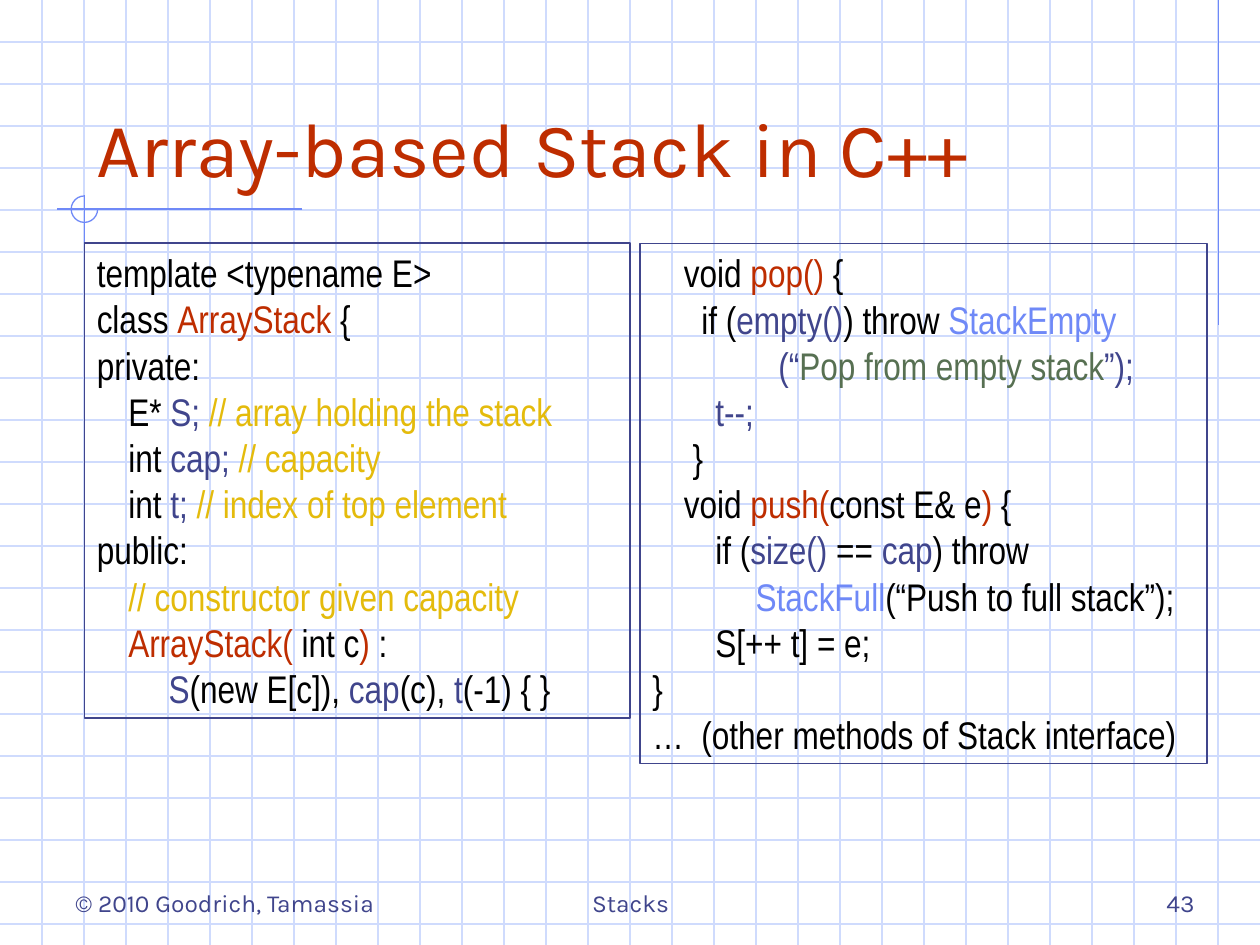
from lxml.etree import SubElement
from pptx import Presentation
from pptx.dml.color import RGBColor
from pptx.enum.shapes import MSO_CONNECTOR, MSO_SHAPE
from pptx.enum.text import MSO_ANCHOR, MSO_AUTO_SIZE, PP_ALIGN
from pptx.oxml.ns import qn
from pptx.util import Inches, Pt

GRID = RGBColor(0xCF, 0xDB, 0xFD)
BLUE = RGBColor(0x6F, 0x89, 0xF7)
NAVY = RGBColor(0x40, 0x45, 0x8C)
RED = RGBColor(0xBE, 0x2D, 0x00)
GOLD = RGBColor(0xE4, 0xBB, 0x0C)
GREEN = RGBColor(0x57, 0x70, 0x52)
BLACK = RGBColor(0x00, 0x00, 0x00)

WIDTH, HEIGHT = 10, 7.5
TEXT_FONT, CODE_FONT = "Karla", "Arial Narrow"
LINE_WIDTH = Pt(0.75)

# Each paragraph is a list of (text, colour) runs; "\n" is a line break
CLASS_CODE = [
    [("template <typename E> \nclass ", BLACK), ("ArrayStack", RED), (" {\nprivate:", BLACK)],
    [("\tE*", BLACK), (" S;", NAVY), (" // array holding the stack\n", GOLD),
     ("\tint", BLACK), (" cap;", NAVY), (" // capacity", GOLD)],
    [("\tint", BLACK), (" t;", NAVY), (" // index of top element", GOLD)],
    [("public:", BLACK)],
    [("\t// constructor given capacity\n", GOLD), ("\tArrayStack( ", RED),
     ("int c", BLACK), (") ", RED), (":\n\t\t ", BLACK), ("S", NAVY),
     ("(new E[c]), ", BLACK), ("cap", NAVY), ("(c), ", BLACK), ("t", NAVY),
     ("(-1) { }", BLACK)],
]
METHOD_CODE = [
    [("\tvoid ", BLACK), ("pop()", RED), (" {\n\t  if (", BLACK), ("empty()", NAVY),
     (") throw ", BLACK), ("StackEmpty\n", BLUE), ("\t\t\t\t(“", NAVY),
     ("Pop from empty stack", GREEN), ("”);\n\t\tt--;\n\t ", NAVY), ("}", BLACK)],
    [("\tvoid ", BLACK), ("push(", RED), ("const E& e", BLACK), (")", RED), (" {", BLACK)],
    [("\t\tif (", BLACK), ("size() ", NAVY), ("== ", BLACK), ("cap", NAVY),
     (") throw", BLACK)],
    [("\t\t\t StackFull", BLUE), ("(“Push to full stack”);", BLACK)],
    [("\t\tS[++ t] = e;", BLACK)],
    [("}", BLACK)],
    [("…  (other methods of Stack interface)", BLACK)],
]


def add_line(slide, x1, y1, x2, y2, color):
    line = slide.shapes.add_connector(
        MSO_CONNECTOR.STRAIGHT, Inches(x1), Inches(y1), Inches(x2), Inches(y2))
    line.line.color.rgb = color
    line.line.width = LINE_WIDTH
    SubElement(line._element.spPr, qn("a:effectLst"))


def add_grid(slide, left, top, width, height):
    """Graph paper with three lines to the inch."""
    for row in range(1, int(height * 3) + 1):
        y = top + row / 3
        if y < top + height:
            add_line(slide, left, y, left + width, y, GRID)
    for column in range(1, int(width * 3)):
        x = left + column / 3
        add_line(slide, x, top, x, top + height, GRID)


def add_accents(slide, center_x, center_y, right):
    """Blue rules, with an open circle where two of them cross."""
    add_line(slide, right, 0, right, 2.58, BLUE)
    add_line(slide, center_x + 1.73, center_y, center_x - 0.22, center_y, BLUE)
    add_line(slide, center_x, center_y - 0.11, center_x, center_y + 2.43, BLUE)
    size = 0.21
    arc = slide.shapes.add_shape(
        MSO_SHAPE.ARC, Inches(center_x - size / 2), Inches(center_y - size / 2),
        Inches(size), Inches(size))
    arc.adjustments[0] = 0
    arc.adjustments[1] = 162  # 270 degrees
    arc.fill.background()
    arc.line.color.rgb = BLUE
    arc.line.width = LINE_WIDTH
    arc.shadow.inherit = False


def add_label(slide, box, text, size, color, align=PP_ALIGN.LEFT):
    shape = slide.shapes.add_textbox(*map(Inches, box))
    frame = shape.text_frame
    frame.word_wrap = True
    frame.vertical_anchor = MSO_ANCHOR.BOTTOM
    paragraph = frame.paragraphs[0]
    paragraph.text = text
    paragraph.alignment = align
    paragraph.font.name = TEXT_FONT
    paragraph.font.size = Pt(size)
    paragraph.font.color.rgb = color


def add_tab_stops(paragraph, step, count):
    tab_list = SubElement(paragraph._p.get_or_add_pPr(), qn("a:tabLst"))
    for index in range(count):
        SubElement(tab_list, qn("a:tab"), pos=str(Inches(index * step)), algn="l")


def add_runs(paragraph, runs):
    for text, color in runs:
        for index, piece in enumerate(text.split("\n")):
            if index:
                paragraph.add_line_break()
            if piece:
                run = paragraph.add_run()
                run.text = piece
                run.font.color.rgb = color


def add_code_box(slide, box, code):
    shape = slide.shapes.add_shape(MSO_SHAPE.RECTANGLE, *map(Inches, box))
    shape.shadow.inherit = False
    shape.fill.background()
    shape.line.color.rgb = NAVY
    shape.line.width = LINE_WIDTH
    frame = shape.text_frame
    frame.word_wrap = True
    frame.auto_size = MSO_AUTO_SIZE.SHAPE_TO_FIT_TEXT
    frame.vertical_anchor = MSO_ANCHOR.TOP
    for index, runs in enumerate(code):
        paragraph = frame.add_paragraph() if index else frame.paragraphs[0]
        paragraph.alignment = PP_ALIGN.LEFT
        add_tab_stops(paragraph, 0.25, 8)
        paragraph.font.name = CODE_FONT
        paragraph.font.size = Pt(22)
        add_runs(paragraph, runs)


def add_footer(slide, top, height):
    add_label(slide, (0.5, top, 2.83, height), "© 2010 Goodrich, Tamassia", 14, NAVY)
    add_label(slide, (3.42, top, 3.17, height), "Stacks", 14, NAVY, PP_ALIGN.CENTER)
    add_label(slide, (7.5, top, 2.08, height), "43", 14, NAVY, PP_ALIGN.RIGHT)


def main():
    presentation = Presentation()
    presentation.slide_width = Inches(WIDTH)
    presentation.slide_height = Inches(HEIGHT)
    slide = presentation.slides.add_slide(presentation.slide_layouts[6])

    # Background
    add_grid(slide, 0, 0, WIDTH, HEIGHT)
    add_accents(slide, 0.67, 1.66, 9.67)

    # Title, code and footer
    add_label(slide, (0.67, 0.33, 8.5, 1.25), "Array-based Stack in C++", 44, RED)
    add_code_box(slide, (0.67, 1.93, 4.33, 3.77), CLASS_CODE)
    add_code_box(slide, (5.08, 1.93, 4.5, 4.13), METHOD_CODE)
    add_footer(slide, 6.83, 0.5)

    presentation.save("out.pptx")


if __name__ == "__main__":
    main()
